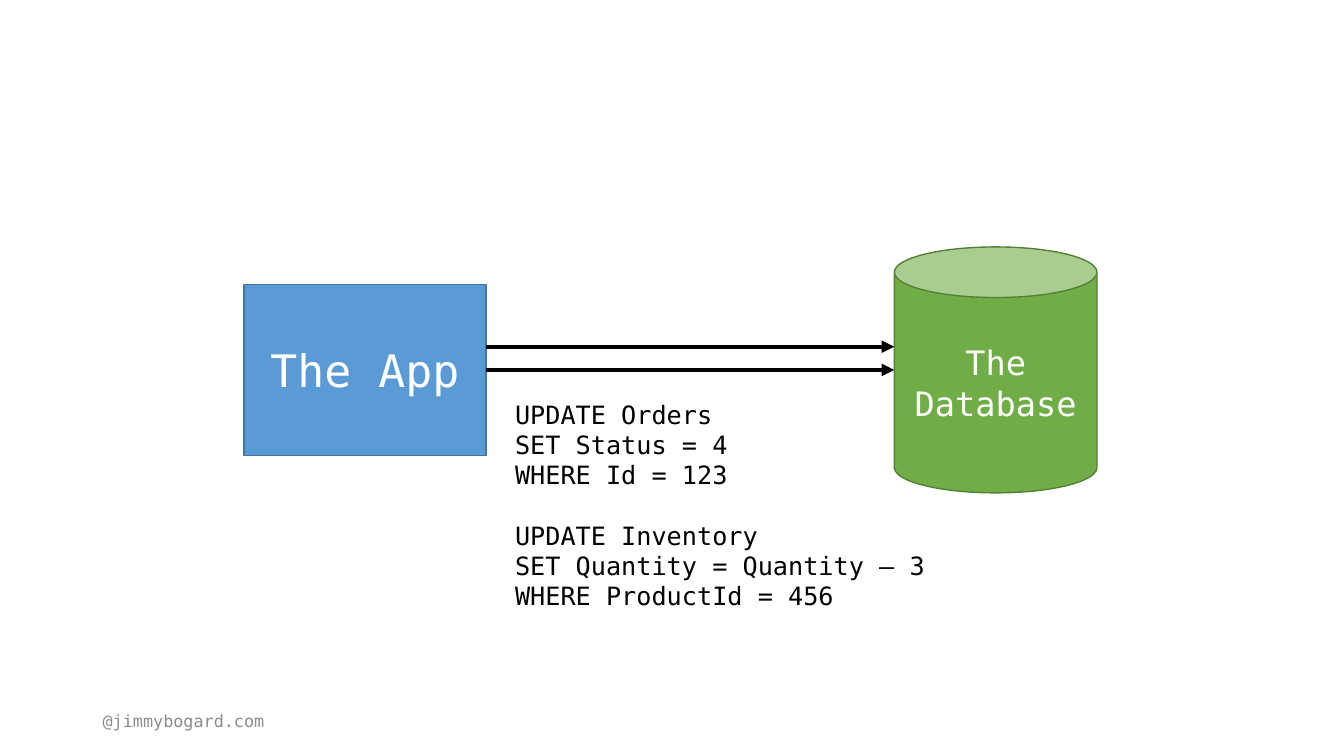
from dataclasses import dataclass

from lxml import etree
from pptx import Presentation
from pptx.dml.color import RGBColor
from pptx.enum.shapes import MSO_CONNECTOR, MSO_SHAPE
from pptx.enum.text import MSO_ANCHOR, PP_ALIGN
from pptx.oxml.ns import qn
from pptx.shapes.autoshape import Shape
from pptx.shapes.connector import Connector
from pptx.slide import Slide
from pptx.util import Inches, Pt


@dataclass(frozen=True)
class Theme:
    font: str = "DejaVu Sans Mono"
    white: str = "FFFFFF"
    black: str = "000000"
    grey: str = "8C8C8C"
    blue: str = "5B9BD5"
    blue_edge: str = "43739E"
    green: str = "70AD47"
    green_edge: str = "538035"
    app_size: float = 32
    database_size: float = 24
    code_size: float = 18
    footer_size: float = 12
    statement_gap: float = 21.6
    edge_width: float = 1
    arrow_width: float = 3


@dataclass(frozen=True)
class Box:
    left: float
    top: float
    width: float
    height: float

    @property
    def right(self) -> float:
        return self.left + self.width

    @property
    def middle(self) -> float:
        return self.top + self.height / 2

    def lengths(self) -> tuple[int, ...]:
        return tuple(Inches(v) for v in (self.left, self.top, self.width, self.height))


@dataclass(frozen=True)
class Node:
    preset: MSO_SHAPE
    box: Box
    label: str
    size: float
    fill: str
    edge: str


@dataclass(frozen=True)
class TextBlock:
    box: Box
    groups: tuple[tuple[str, ...], ...]
    size: float
    color: str
    anchor: MSO_ANCHOR


THEME = Theme()
APP = Node(MSO_SHAPE.RECTANGLE, Box(2.42, 2.82, 2.4, 1.7), "The App",
           THEME.app_size, THEME.blue, THEME.blue_edge)
DATABASE = Node(MSO_SHAPE.CAN, Box(8.87, 2.45, 2.01, 2.44), "The Database",
                THEME.database_size, THEME.green, THEME.green_edge)
STATEMENTS = TextBlock(
    Box(5.01, 3.91, 4.47, 2.22),
    (
        ("UPDATE Orders", "SET Status = 4", "WHERE Id = 123"),
        ("UPDATE Inventory", "SET Quantity = Quantity – 3", "WHERE ProductId = 456"),
    ),
    THEME.code_size, THEME.black, MSO_ANCHOR.TOP,
)
FOOTER = TextBlock(Box(0.92, 6.95, 3, 0.4), (("@jimmybogard.com",),),
                   THEME.footer_size, THEME.grey, MSO_ANCHOR.MIDDLE)
ARROW_GAP = 0.23


def rgb(color: str) -> RGBColor:
    return RGBColor.from_string(color)


def set_font(p, size: float, color: str) -> None:
    p.font.name = THEME.font
    p.font.size = Pt(size)
    p.font.color.rgb = rgb(color)


def add_node(s: Slide, node: Node) -> Shape:
    sp = s.shapes.add_shape(node.preset, *node.box.lengths())
    sp.shadow.inherit = False
    sp.fill.solid()
    sp.fill.fore_color.rgb = rgb(node.fill)
    sp.line.color.rgb = rgb(node.edge)
    sp.line.width = Pt(THEME.edge_width)
    tf = sp.text_frame
    tf.word_wrap = True
    tf.vertical_anchor = MSO_ANCHOR.MIDDLE
    p = tf.paragraphs[0]
    p.text = node.label
    p.alignment = PP_ALIGN.CENTER
    set_font(p, node.size, THEME.white)
    return sp


def add_arrow(s: Slide, y: float) -> Connector:
    cxn = s.shapes.add_connector(
        MSO_CONNECTOR.STRAIGHT,
        Inches(APP.box.right), Inches(y), Inches(DATABASE.box.left), Inches(y))
    cxn.line.color.rgb = rgb(THEME.black)
    cxn.line.width = Pt(THEME.arrow_width)
    etree.SubElement(cxn.line._get_or_add_ln(), qn("a:tailEnd"), type="triangle")
    etree.SubElement(cxn._element.spPr, qn("a:effectLst"))
    return cxn


def add_text(s: Slide, block: TextBlock) -> None:
    tf = s.shapes.add_textbox(*block.box.lengths()).text_frame
    tf.word_wrap = True
    tf.vertical_anchor = block.anchor
    p = tf.paragraphs[0]
    for g, group in enumerate(block.groups):
        for n, line in enumerate(group):
            if g or n:
                p = tf.add_paragraph()
            p.text = line
            set_font(p, block.size, block.color)
            if g and not n:
                p.space_before = Pt(THEME.statement_gap)


def main() -> None:
    prs = Presentation()
    prs.slide_width, prs.slide_height = Inches(13.33), Inches(7.5)
    s = prs.slides.add_slide(prs.slide_layouts[6])
    add_node(s, DATABASE)
    app = add_node(s, APP)
    add_arrow(s, APP.box.middle).begin_connect(app, 3)
    add_text(s, STATEMENTS)
    add_arrow(s, APP.box.middle - ARROW_GAP)
    add_text(s, FOOTER)
    prs.save("out.pptx")


if __name__ == "__main__":
    main()
